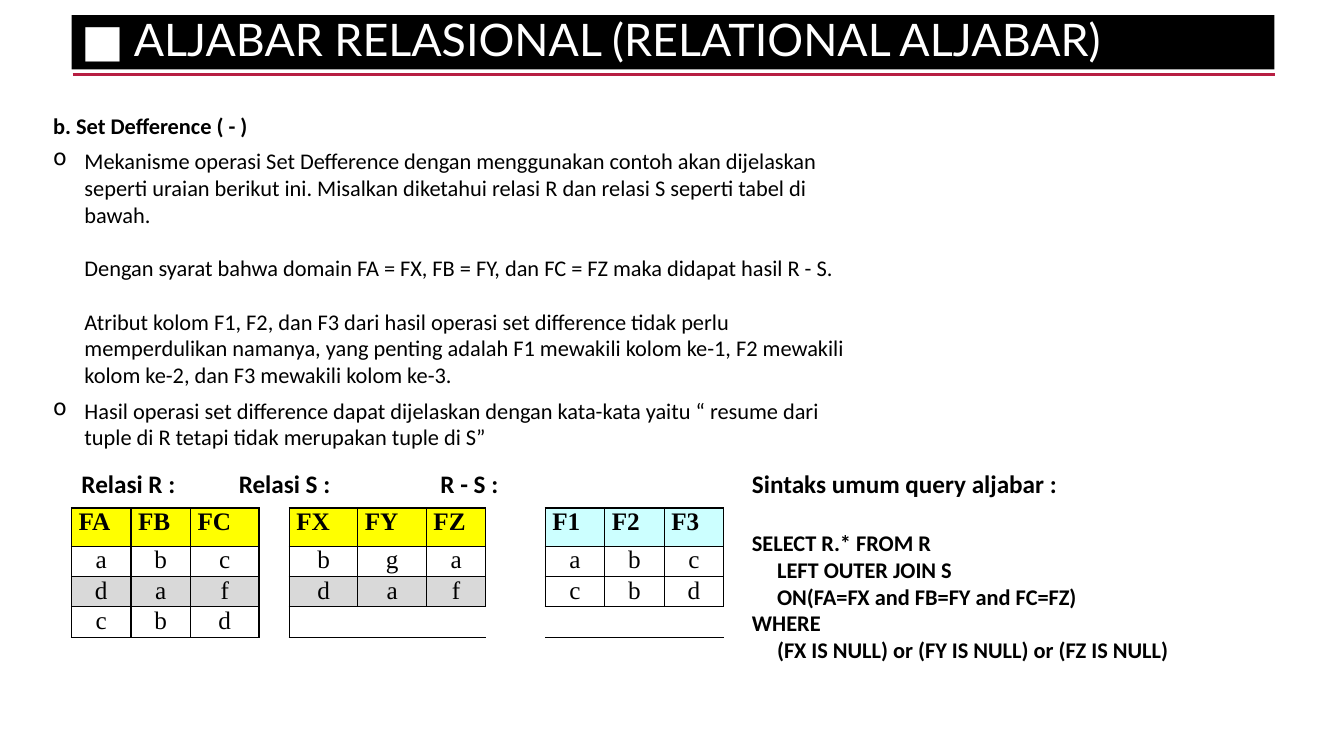
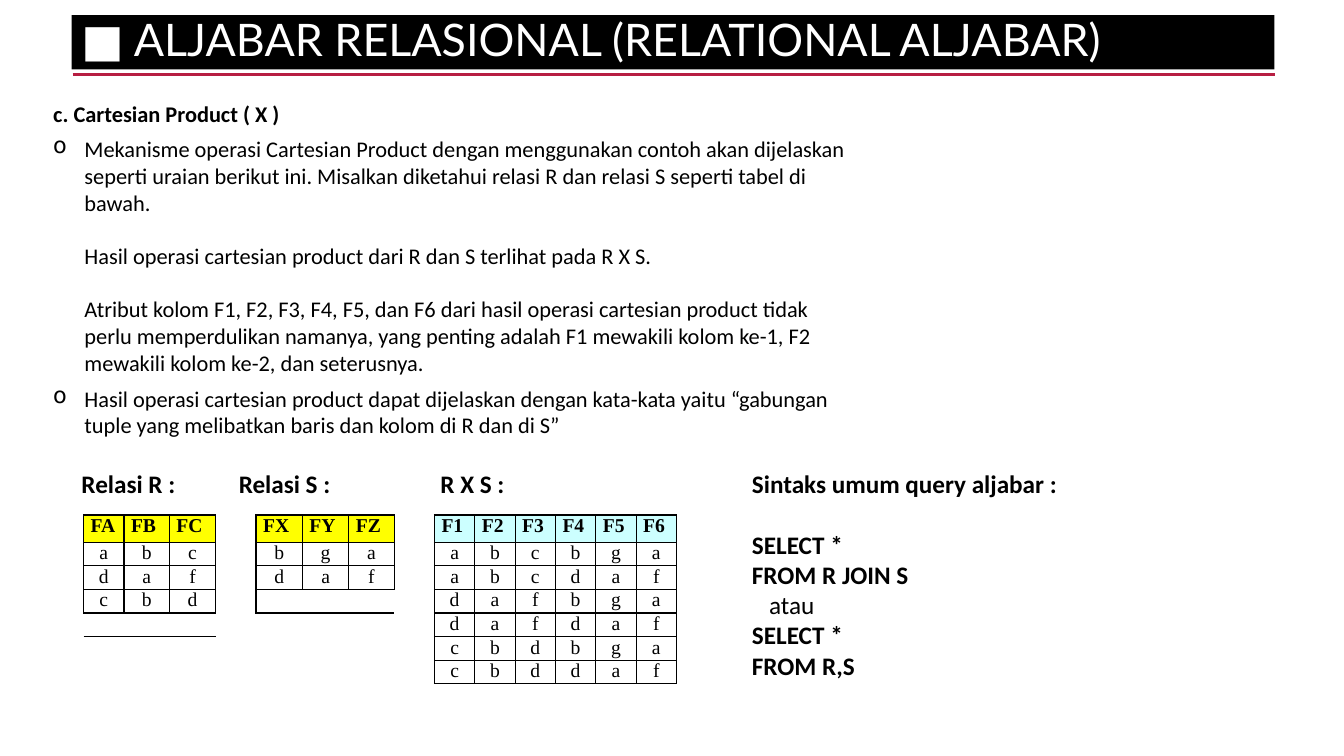
import itertools
import lxml.etree
import pptx
import pptx.dml.color
import pptx.enum.shapes
import pptx.enum.text
import pptx.oxml.ns
import pptx.util

PX = 9144
ALIGN = pptx.enum.text.PP_ALIGN
ANCHOR = pptx.enum.text.MSO_ANCHOR
PLAIN = "{2D5ABB26-0587-4C30-8999-92F81FD0307C}"


class Theme:
    black, white, red = "000000", "FFFFFF", "B71E42"
    yellow, cyan, gray = "FFFF00", "CCFFFF", "D9D9D9"
    title, label, body = 32, 18, 16
    head, sans, serif = "Lato", "Calibri", "Times New Roman"


def rgb(code):
    return pptx.dml.color.RGBColor.from_string(code)


def put(item, **vals):
    for key, val in vals.items():
        setattr(item, key, val)


def sub(node, tag, **vals):
    return lxml.etree.SubElement(node, pptx.oxml.ns.qn(tag), **vals)


def line(text, size=Theme.body, bold=False, left=0, hang=0, mark=None, **form):
    return dict(text=text, size=size, bold=bold, left=left, hang=hang, mark=mark, form=form)


class Deck:
    def __init__(self):
        self.show = pptx.Presentation()
        put(self.show, slide_width=1333 * PX, slide_height=750 * PX)

    def page(self, title):
        self.slide = self.show.slides.add_slide(self.show.slide_layouts[6])
        self.rule(72, 74, 1265, 74)
        self.band(title, 71, 15, 1193, 54)

    def rule(self, *ends):
        kind = pptx.enum.shapes.MSO_CONNECTOR.STRAIGHT
        rule = self.slide.shapes.add_connector(kind, *(n * PX for n in ends))
        rule.line.color.rgb = rgb(Theme.red)
        rule.line.width = pptx.util.Pt(2.5)
        sub(rule._element.spPr, "a:effectLst")

    def band(self, text, *box):
        kind = pptx.enum.shapes.MSO_SHAPE.RECTANGLE
        band = self.slide.shapes.add_shape(kind, *(n * PX for n in box))
        band.shadow.inherit = False
        band.fill.solid()
        band.fill.fore_color.rgb = rgb(Theme.black)
        band.line.fill.background()
        put(band.text_frame, word_wrap=True, vertical_anchor=ANCHOR.MIDDLE)
        para = band.text_frame.paragraphs[0]
        put(para, alignment=ALIGN.LEFT, line_spacing=0.9)
        self.run(para, text, Theme.title, name=Theme.head, tint=Theme.white)

    def run(self, para, text, size, bold=False, name=Theme.sans, tint=Theme.black):
        run = para.add_run()
        run.text = text
        put(run.font, size=pptx.util.Pt(size), bold=bold, name=name)
        run.font.color.rgb = rgb(tint)

    def text(self, lines, *box, wrap=True):
        frame = self.slide.shapes.add_textbox(*(n * PX for n in box)).text_frame
        frame.word_wrap = wrap
        for pos, item in enumerate(lines):
            para = frame.add_paragraph() if pos else frame.paragraphs[0]
            put(para, **{key: pptx.util.Pt(val) for key, val in item["form"].items()})
            props = para._p.get_or_add_pPr()
            props.set("marL", str(item["left"] * PX))
            props.set("indent", str(item["hang"] * PX))
            if item["mark"]:
                sub(props, "a:buChar", char=item["mark"])
            self.run(para, item["text"], item["size"], item["bold"])

    def labels(self, names):
        for name, left in zip(names, (71, 227, 427)):
            self.text([line(name, Theme.label, True)], left, 460, 150, 40, wrap=False)

    def query(self, lines, high):
        top = line("Sintaks umum query aljabar :", Theme.label, True)
        self.text([top, *lines], 736, 460, 564, high)

    def notes(self, head, first, more, last, top):
        dot = dict(left=31, hang=-31, mark="o")
        lines = [line(head, bold=True, space_after=6), line(first, **dot)]
        lines += [line(text, left=31, space_before=19) for text in more]
        lines[-1]["form"]["space_after"] = 6
        lines.append(line(last, space_after=6, **dot))
        self.text(lines, 43, top, 817, 353)

    def grid(self, parts, cols, rows, left, top, size, shade=()):
        box = (left, top, sum(cols), sum(rows))
        frame = self.slide.shapes.add_table(len(rows), len(cols), *(n * PX for n in box))
        table = frame.table
        put(table, first_row=False, horz_banding=False)
        table._tbl.tblPr.find(pptx.oxml.ns.qn("a:tableStyleId")).text = PLAIN
        for col, wide in zip(table.columns, cols):
            col.width = wide * PX
        for row, high in zip(table.rows, rows):
            row.height = high * PX
        data, start = {}, 0
        for names, *body in parts:
            for y, vals in enumerate([names, *body]):
                for x, val in enumerate(vals):
                    tint = Theme.gray if vals in shade else None
                    if y == 0:
                        tint = Theme.cyan if val[1].isdigit() else Theme.yellow
                    data[y, start + x] = val, tint
            start += len(names) + 1
        for y, x in itertools.product(range(len(rows)), range(len(cols))):
            self.cell(table.cell(y, x), data, y, x, size)

    def cell(self, cell, data, y, x, size):
        put(cell, margin_left=7 * PX, margin_right=7 * PX, margin_top=0, margin_bottom=0)
        para = cell.text_frame.paragraphs[0]
        text, tint = data.get((y, x), (None, None))
        if text:
            para.alignment = ALIGN.CENTER if y else ALIGN.LEFT
            self.run(para, text, size, y == 0, Theme.serif)
        else:
            sub(para._p, "a:endParaRPr", sz=str(size * 100))
        if tint:
            cell.fill.solid()
            cell.fill.fore_color.rgb = rgb(tint)
        else:
            cell.fill.background()
        props = cell._tc.get_or_add_tcPr()
        sides = {"L": (y, x - 1), "R": (y, x + 1), "T": (y - 1, x), "B": (y + 1, x)}
        drawn = [side for side, near in sides.items() if text or near in data]
        for pos, side in enumerate(drawn):
            edge = sub(props, "a:ln" + side, w="12700")
            sub(sub(edge, "a:solidFill"), "a:srgbClr", val=Theme.black)
            props.insert(pos, edge)


def main():
    deck = Deck()
    title = "■ ALJABAR RELASIONAL (RELATIONAL ALJABAR)"
    left, right = ["abc", "daf", "cbd"], ["bga", "daf"]
    tables = [[["FA", "FB", "FC"], *left], [["FX", "FY", "FZ"], *right]]

    deck.page(title)
    deck.notes(
        "b. Set Defference ( - )",
        "Mekanisme operasi Set Defference dengan menggunakan contoh akan dijelaskan seperti "
        "uraian berikut ini. Misalkan diketahui relasi R dan relasi S seperti tabel di bawah.",
        ["Dengan syarat bahwa domain FA = FX, FB = FY, dan FC = FZ maka didapat hasil R - S.",
         "Atribut kolom F1, F2, dan F3 dari hasil operasi set difference tidak perlu "
         "memperdulikan namanya, yang penting adalah F1 mewakili kolom ke-1, F2 mewakili "
         "kolom ke-2, dan F3 mewakili kolom ke-3."],
        "Hasil operasi set difference dapat dijelaskan dengan kata-kata yaitu “ resume dari "
        "tuple di R tetapi tidak merupakan tuple di S”", 106)
    rest = [row for row in left if row not in right]
    both = [row for row in left if row in right]
    deck.grid([*tables, [["F1", "F2", "F3"], *rest]],
              [59, 59, 68, 30, 68, 68] + [59] * 5, [38, 28, 28, 28, 36], 71, 504, 18, both)
    deck.query([
        line("SELECT R.* FROM R", bold=True, space_before=21.5),
        line("LEFT OUTER JOIN S", bold=True, left=25),
        line("ON(FA=FX and FB=FY and FC=FZ)", bold=True, left=25),
        line("WHERE", bold=True),
        line("(FX IS NULL) or (FY IS NULL) or (FZ IS NULL)", bold=True, left=25)], 205)
    deck.labels(["Relasi R :", "Relasi S :", "R - S :"])

    deck.page(title)
    deck.notes(
        "c. Cartesian Product ( X )",
        "Mekanisme operasi Cartesian Product dengan menggunakan contoh akan dijelaskan seperti "
        "uraian berikut ini. Misalkan diketahui relasi R dan relasi S seperti tabel di bawah.",
        ["Hasil operasi cartesian product dari R dan S terlihat pada R X S.",
         "Atribut kolom F1, F2, F3, F4, F5, dan F6 dari hasil operasi cartesian product tidak "
         "perlu memperdulikan namanya, yang penting adalah F1 mewakili kolom ke-1, F2 "
         "mewakili kolom ke-2, dan seterusnya."],
        "Hasil operasi cartesian product dapat dijelaskan dengan kata-kata yaitu “gabungan "
        "tuple yang melibatkan baris dan kolom di R dan di S”", 94)
    deck.query([
        line("SELECT *", Theme.label, True, space_before=21.5),
        line("FROM R JOIN S", Theme.label, True),
        line("atau", Theme.label, left=17),
        line("SELECT *", Theme.label, True),
        line("FROM R,S", Theme.label, True)], 222)
    deck.labels(["Relasi R :", "Relasi S :", "R X S :"])
    cross = [a + b for a, b in itertools.product(left, right)]
    deck.grid([*tables, [[f"F{n}" for n in range(1, 7)], *cross]],
              [40, 45, 46, 40, 46, 46, 45] + [40] * 7, [27] + [23] * 6, 83, 511, 14)
    deck.show.save("out.pptx")


if __name__ == "__main__":
    main()
